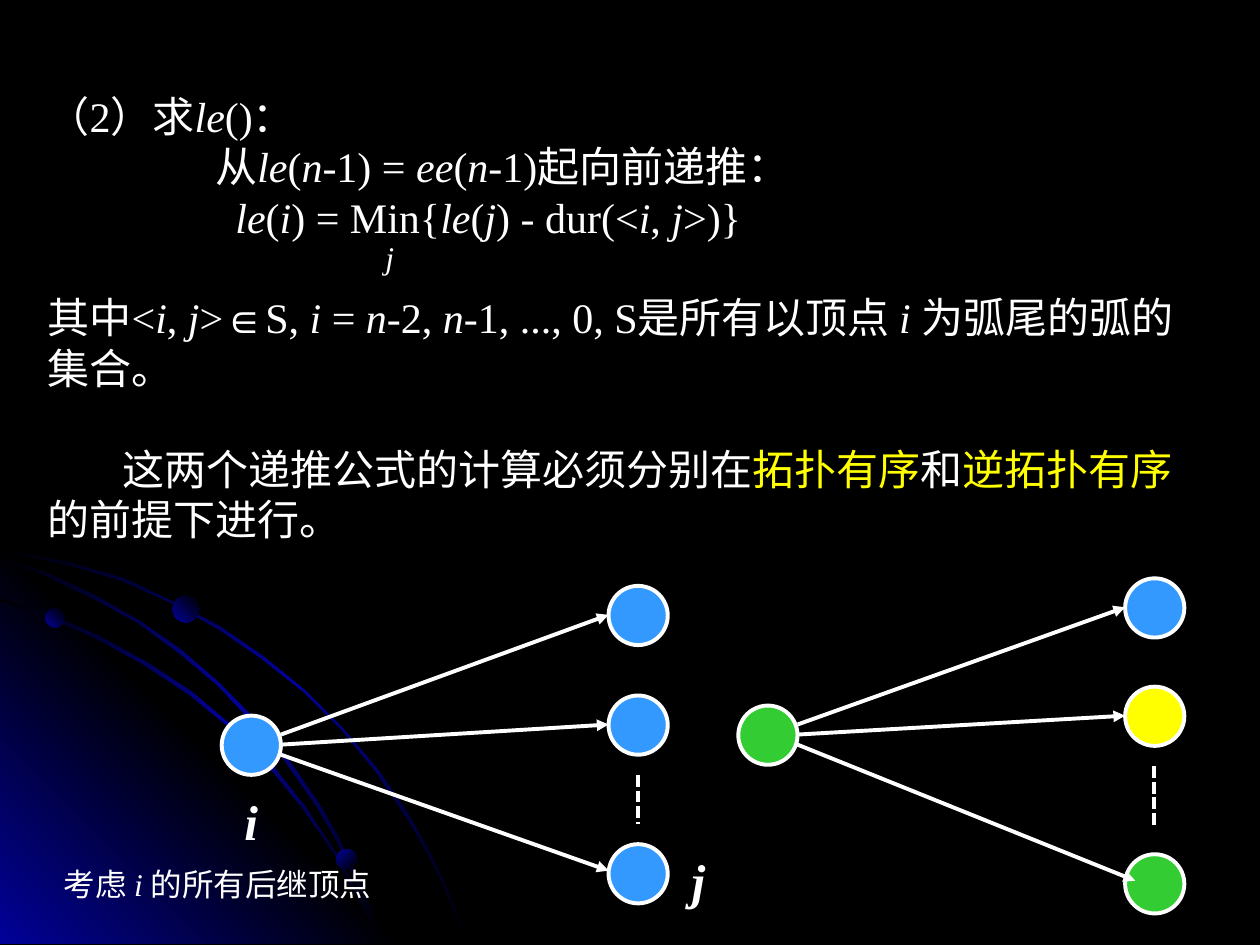
from lxml import etree
from pptx import Presentation
from pptx.dml.color import RGBColor
from pptx.enum.dml import MSO_LINE
from pptx.enum.shapes import MSO_CONNECTOR, MSO_SHAPE
from pptx.oxml.ns import qn
from pptx.util import Pt

PX = 9144  # EMU per px, 100 px to the inch
FONT = "Times New Roman"
STRAIGHT = MSO_CONNECTOR.STRAIGHT
OVAL = MSO_SHAPE.OVAL
DOTTED = MSO_LINE.SQUARE_DOT
COLORS = {
    "black": "000000", "navy": "010199", "white": "FFFFFF",
    "blue": "3399FF", "yellow": "FFFF00", "green": "33CC33",
}
LINE_GAP = 28.7
NODE = 47
ARROW_STARTS = (15, 23, 31)
ARROW_ENDS = (23, 23, 21)

GLOW_TRIANGLE = [(322, 322), (0, 322), (0, 0)]
OUTER_ARC = [
    (57, 12), (28, 6), (0, 0), (0, 3), (28, 8), (56, 14), (97, 26), (135, 43),
    (173, 64), (208, 88), (241, 114), (271, 144), (298, 177), (323, 214),
    (337, 238), (350, 263), (360, 288), (370, 314), (372, 314), (362, 288),
    (352, 263), (339, 238), (325, 213), (300, 176), (272, 143), (242, 113),
    (209, 86), (174, 62), (136, 42), (98, 24)]
LOWER_ARC = [
    (285, 239), (294, 257), (301, 274), (303, 274), (296, 255), (286, 237),
    (266, 201), (242, 165), (215, 131), (184, 101), (152, 74), (117, 51),
    (79, 30), (41, 13), (0, 0), (0, 2), (39, 15), (77, 32), (115, 53),
    (150, 76), (183, 103), (213, 133), (240, 166), (265, 202)]
MIDDLE_ARC = [
    (0, 0), (0, 2), (36, 15), (74, 33), (109, 52), (142, 76), (173, 102),
    (202, 133), (227, 163), (252, 199), (267, 225), (280, 252), (292, 280),
    (301, 307), (303, 307), (294, 278), (282, 251), (269, 223), (254, 197),
    (229, 161), (204, 131), (175, 101), (144, 74), (111, 51), (76, 31), (39, 13)]


def rgb(name):
    return RGBColor.from_string(COLORS[name])


def px(*lengths):
    return [length * PX for length in lengths]


def fill_gradient(shape, names, clockwise_angle):
    """Spread the named colours evenly along the gradient."""
    shape.shadow.inherit = False
    shape.line.fill.background()
    shape.fill.gradient()
    shape.fill.gradient_angle = 360 - clockwise_angle
    stops = next(shape.element.iter(qn("a:gsLst")))
    for stop in list(stops):
        stops.remove(stop)
    for index, name in enumerate(names):
        position = str(index * 100000 // (len(names) - 1))
        stop = etree.SubElement(stops, qn("a:gs"), pos=position)
        etree.SubElement(stop, qn("a:srgbClr"), val=COLORS[name])


def add_outline(slide, left, top, points):
    points = [(left + x, top + y) for x, y in points]
    builder = slide.shapes.build_freeform(*points[0], scale=PX)
    builder.add_line_segments(points[1:], close=True)
    return builder.convert_to_shape()


def add_orbits(slide, left, top):
    arc_colors = ("black", "navy", "black")
    glow_colors = ("navy", "black", "navy")
    for y, points, names, angle in (
        (8, OUTER_ARC, arc_colors, 45),
        (0, GLOW_TRIANGLE, glow_colors, 315),
        (48, LOWER_ARC, arc_colors, 45),
        (15, MIDDLE_ARC, arc_colors, 45),
    ):
        fill_gradient(add_outline(slide, left, top + y, points), names, angle)
    for x, y, size, angle in ((36, 56, 15, 315), (267, 247, 16, 45), (137, 46, 21, 315)):
        planet = slide.shapes.add_shape(OVAL, *px(left + x, top + y, size, size))
        fill_gradient(planet, ("navy", "black"), angle)


def add_runs(paragraph, runs, size, bold=False):
    """Each run is (text, style); style may be "i" for italic or a colour."""
    for text, style in runs:
        run = paragraph.add_run()
        run.text = text
        run.font.name = FONT
        run.font.size = Pt(size)
        run.font.bold = bold
        run.font.italic = style == "i"
        run.font.color.rgb = rgb(style if style in COLORS else "white")


def add_text(slide, left, top, width, height, runs, size, bold=False, wrap=False):
    frame = slide.shapes.add_textbox(*px(left, top, width, height)).text_frame
    frame.word_wrap = wrap
    add_runs(frame.paragraphs[0], runs, size, bold)
    return frame


def add_recurrence(slide, left, top):
    heading = [("（2）求", ""), ("le", "i"), ("()：", "")]
    start = [("从", ""), ("le", "i"), ("(", ""), ("n", "i"), ("-1) = ", ""),
             ("ee", "i"), ("(", ""), ("n", "i"), ("-1)起向前递推：", "")]
    formula = [("le", "i"), ("(", ""), ("i", "i"), (") = Min{", ""), ("le", "i"),
               ("(", ""), ("j", "i"), (") - dur(<", ""), ("i", "i"), (", ", ""),
               ("j", "i"), (">)}", "")]
    domain = [("其中<", ""), ("i", "i"), (", ", ""), ("j", "i"), (">∈S, ", ""),
              ("i", "i"), (" = ", ""), ("n", "i"), ("-2, ", ""), ("n", "i"),
              ("-1, ..., 0, S是所有以顶点 ", ""), ("i ", "i"),
              ("为弧尾的弧的集合。", "")]
    condition = [("这两个递推公式的计算必须分别在", ""), ("拓扑有序", "yellow"),
                 ("和", ""), ("逆拓扑有序", "yellow"), ("的前提下进行。", "")]
    frame = add_text(slide, left, top, 945, 373, heading, 24, wrap=True)
    for runs, indent, gap in (
        (start, 133, 0), (formula, 149, 0),
        (domain, 0, LINE_GAP), (condition, 59, LINE_GAP),
    ):
        paragraph = frame.add_paragraph()
        properties = paragraph._p.get_or_add_pPr()
        properties.set("marL", "0")
        properties.set("indent", str(indent * PX))
        paragraph.space_before = Pt(gap)
        add_runs(paragraph, runs, 24)
    add_text(slide, left + 268, top + 117, 27, 40, [("j", "i")], 18)


def add_line(slide, start, end, arrow=False):
    line = slide.shapes.add_connector(STRAIGHT, *px(*start, *end))
    line.line.color.rgb = rgb("white")
    line.line.width = Pt(2.25)
    if arrow:
        etree.SubElement(line.line._get_or_add_ln(), qn("a:tailEnd"), type="triangle")
    else:
        line.line.dash_style = DOTTED
    etree.SubElement(line.element.spPr, qn("a:effectLst"))


def add_node(slide, left, top, color):
    node = slide.shapes.add_shape(OVAL, *px(left, top, NODE, NODE))
    node.shadow.inherit = False
    node.fill.solid()
    node.fill.fore_color.rgb = rgb(color)
    node.line.color.rgb = rgb("white")
    node.line.width = Pt(2.25)


def add_fan(slide, left, top, hub_top, hub_color, successors, dots, last_inset=0):
    """Draw a vertex with arrows to its successors, given as (top, colour)."""
    column = left + 307
    hub_y = top + hub_top
    add_node(slide, left, hub_y, hub_color)
    for y, color in successors:
        add_node(slide, column, top + y, color)
    insets = (0, 0, last_inset)
    for (y, _), start, end, inset in zip(successors, ARROW_STARTS, ARROW_ENDS, insets):
        add_line(slide, (left + NODE, hub_y + start),
                 (column + inset, top + y + end), arrow=True)
    dots_x = column + NODE // 2
    add_line(slide, (dots_x, top + dots[0]), (dots_x, top + dots[1]))


def add_successor_labels(slide, left, top):
    add_text(slide, left + 8, top + 158, 31, 57, [("i", "i")], 28, bold=True)
    add_text(slide, left + 363, top + 205, 31, 57, [("j", "i")], 28, bold=True)
    caption = [("考虑 ", ""), ("i ", "i"), ("的所有后继顶点", "")]
    add_text(slide, left - 135, top + 217, 267, 40, caption, 18, wrap=True)


def main():
    deck = Presentation()
    deck.slide_width, deck.slide_height = px(1000, 750)
    slide = deck.slides.add_slide(deck.slide_layouts[6])
    slide.background.fill.solid()
    slide.background.fill.fore_color.rgb = rgb("black")

    add_orbits(slide, 0, 427)
    add_recurrence(slide, 28, 67)
    add_fan(slide, 176, 465, 103, "blue",
            [(0, "blue"), (87, "blue"), (205, "blue")], (150, 189))
    add_successor_labels(slide, 176, 465)
    add_fan(slide, 586, 459, 101, "green",
            [(0, "blue"), (86, "yellow"), (219, "green")], (149, 198), last_inset=8)
    deck.save("out.pptx")


if __name__ == "__main__":
    main()
